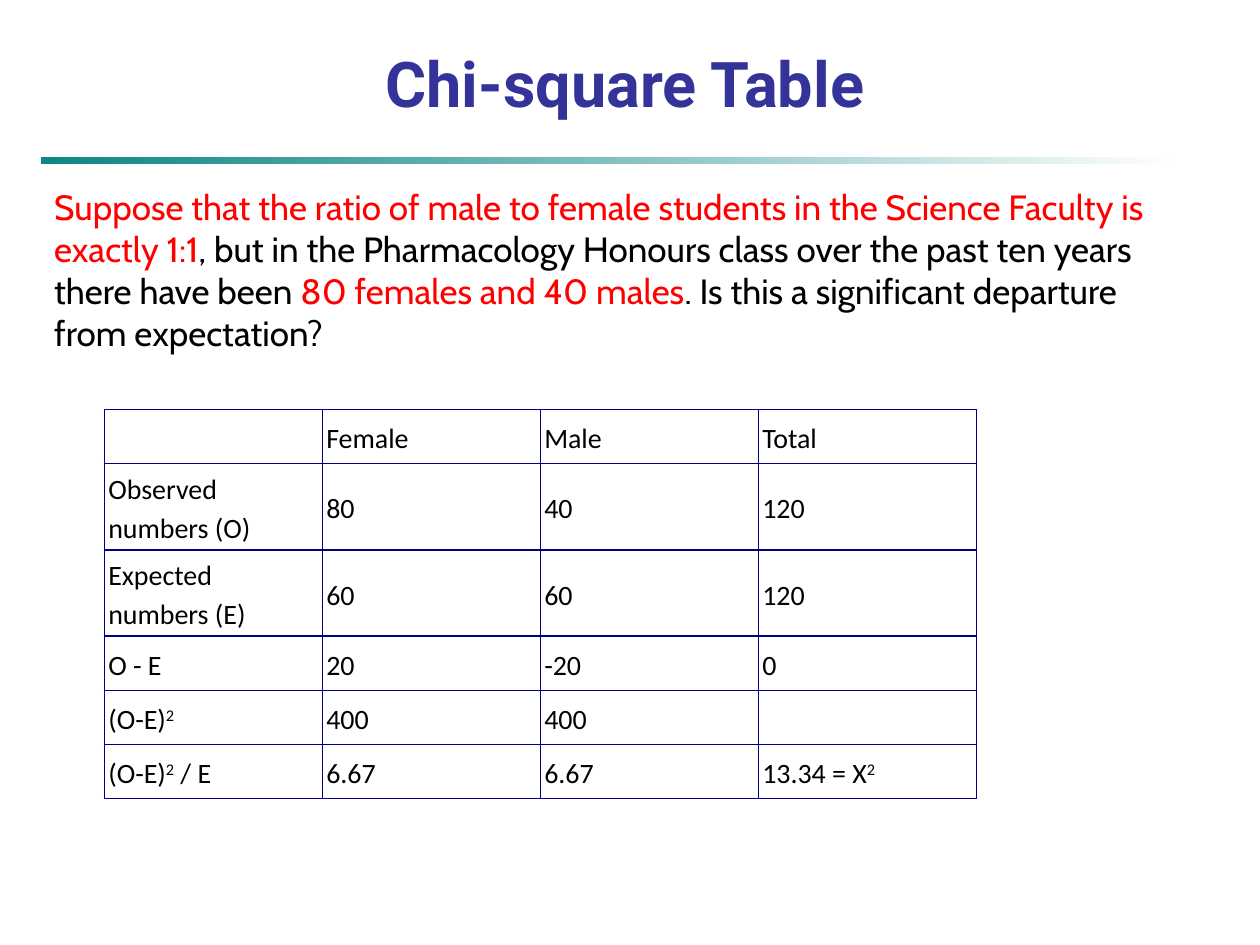
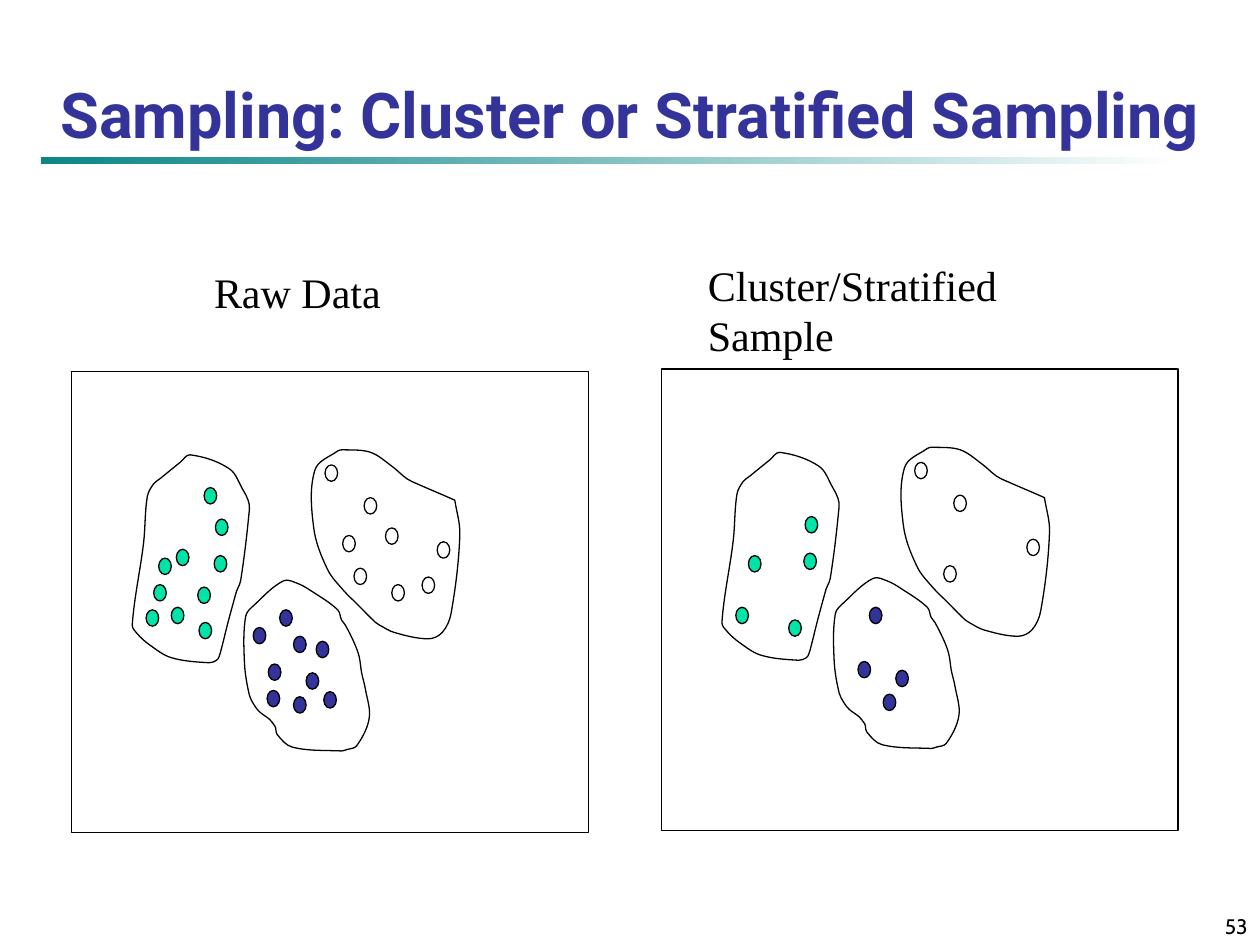
"""Build two statistics slides: a chi-square table and a cluster sampling diagram."""
from math import hypot

from lxml.etree import SubElement
from pptx import Presentation
from pptx.dml.color import RGBColor
from pptx.enum.shapes import MSO_SHAPE
from pptx.enum.text import MSO_ANCHOR as ANCHOR, MSO_AUTO_SIZE as AUTO, PP_ALIGN as ALIGN
from pptx.oxml.ns import qn
from pptx.util import Inches, Pt

BLACK, WHITE, RED, NAVY = "000000", "FFFFFF", "FF0000", "000080"
INDIGO, TEAL, MINT = "333399", "008080", "00E4A8"

QUESTION = [
    ("Suppose that the ratio of male to female students in the Science Faculty is exactly 1:1", RED),
    (", but in the Pharmacology Honours class over the past ten years there have been ", BLACK),
    ("80 females and 40 males", RED),
    (". Is this a significant departure from expectation? ", BLACK),
]

CHI_ROWS = [
    ("", "Female", "Male", "Total"),
    ("Observed numbers (O)", "80", "40", "120"),
    ("Expected numbers (E)", "60", "60", "120"),
    ("O - E", "20", "-20", "0"),
    ("(O-E)^2", "400", "400", ""),
    ("(O-E)^2^ / E", "6.67", "6.67", "13.34 = X^2"),
]
ROW_HEIGHTS = [0.43, 0.68, 0.68, 0.43, 0.43, 0.43]
COL_WIDTH = 1.73

CLUSTERS = [
    {
        "fill": WHITE,
        "sampled": [(2.89, 3.95), (2.81, 4.51), (3.47, 4.3), (2.58, 3.69)],
        "others": [(3.06, 4.19), (2.72, 4.25), (3.35, 4.58), (3.11, 4.64)],
        "outline": [
            (3.61, 3.97), (3.65, 4.24), (3.58, 4.87), (3.51, 5.02), (3.4, 5.07),
            (3.13, 5.02), (3.01, 4.96), (2.98, 4.94), (2.83, 4.79), (2.73, 4.69), (2.6, 4.52),
            (2.49, 4.19), (2.5, 3.73), (2.68, 3.58), (2.72, 3.57), (2.94, 3.59), (3.11, 3.7),
            (3.23, 3.8), (3.31, 3.84)],
    },
    {
        "fill": INDIGO,
        "sampled": [(2.33, 5.53), (2.43, 5.34), (2.13, 5.27), (2.22, 4.84)],
        "others": [(2.01, 4.98), (2.51, 5.09), (2.12, 5.48), (2.33, 5.05), (2.57, 5.49)],
        "outline": [
            (2.18, 5.76), (2.14, 5.71), (2.06, 5.65), (2.02, 5.6), (1.98, 5.52), (1.94, 5.26),
            (1.95, 4.89), (2.02, 4.8), (2.25, 4.61), (2.36, 4.63), (2.47, 4.69), (2.68, 4.84),
            (2.71, 4.92), (2.74, 4.96), (2.81, 5.1), (2.85, 5.21), (2.87, 5.34), (2.9, 5.47),
            (2.93, 5.7), (2.83, 5.92), (2.75, 5.95), (2.71, 5.96), (2.32, 5.93), (2.2, 5.83)],
    },
    {
        "fill": MINT,
        "sampled": [(1.16, 4.84), (1.26, 4.43), (1.58, 4.94), (1.7, 4.41), (1.71, 4.12)],
        "others": [(1.36, 4.82), (1.22, 4.64), (1.57, 4.66), (1.4, 4.36), (1.62, 3.87)],
        "outline": [
            (1.87, 4.72), (1.81, 4.94), (1.76, 5.14), (1.74, 5.21), (1.72, 5.24), (1.66, 5.26),
            (1.36, 5.22), (1.19, 5.12), (1.09, 5.03), (1.05, 4.96), (1.14, 4.31), (1.17, 3.94),
            (1.22, 3.84), (1.27, 3.8), (1.38, 3.71), (1.43, 3.67), (1.51, 3.61), (1.82, 3.72),
            (1.93, 3.89), (1.97, 3.97), (1.98, 4.04), (1.91, 4.61)],
    },
]
FRAME, DOT = (0.57, 2.95, 4.1, 3.66), (0.1, 0.13)
PANELS = [
    {"label": "Raw Data", "at": (1.6, 2.07, 1.61, 0.5), "inset": 0.1,
     "shift": (0, 0), "all": True},
    {"label": "Cluster/Stratified Sample", "at": (5.52, 2.01, 3.57, 0.5), "inset": 0.7,
     "shift": (4.68, -0.02), "all": False},
]


def rgb(value):
    return RGBColor.from_string(value)


def place(sp, *box):
    sp.left, sp.top, sp.width, sp.height = map(Inches, box)


def style(r, size, font, color, bold=False):
    r.font.size, r.font.name, r.font.bold = Pt(size), font, bold
    r.font.color.rgb = rgb(color)


def set_title(s, text, *box):
    sp = s.shapes.title
    place(sp, *box)
    tf = sp.text_frame
    tf.text = text
    tf.auto_size, tf.vertical_anchor = AUTO.NONE, ANCHOR.BOTTOM
    p = tf.paragraphs[0]
    p.alignment = ALIGN.CENTER
    style(p.runs[0], 36, "Roboto", INDIGO, True)


def add_text(s, text, box, size, font, align=ALIGN.LEFT, anchor=ANCHOR.TOP, inset=0.1):
    tf = s.shapes.add_textbox(*map(Inches, box)).text_frame
    tf.text, tf.word_wrap, tf.vertical_anchor = text, True, anchor
    tf.margin_right = Inches(inset)
    p = tf.paragraphs[0]
    p.alignment = align
    style(p.runs[0], size, font, BLACK)


def add_master_band(prs, s):
    sp = s.shapes.add_shape(MSO_SHAPE.RECTANGLE, *map(Inches, (0.33, 1.25, 9, 0.05)))
    sp.shadow.inherit = False
    sp.line.fill.background()
    sp.fill.gradient()
    sp.fill.gradient_angle = 0
    for stop, color in zip(sp.fill.gradient_stops, (TEAL, WHITE)):
        stop.color.rgb = rgb(color)
    SubElement(sp.element.find(".//" + qn("a:srgbClr")), qn("a:alpha"), val="95000")
    sp.element.nvSpPr.cNvPr.set("id", "50")
    prs.slide_master.shapes.element.append(sp.element)


def add_borders(cell, color, width):
    tc_pr = cell._tc.get_or_add_tcPr()
    for i, side in enumerate("LRTB"):
        ln = SubElement(tc_pr, qn("a:ln" + side), w=str(Pt(width)))
        SubElement(SubElement(ln, qn("a:solidFill")), qn("a:srgbClr"), val=color)
        tc_pr.insert(i, ln)


def fill_cell(cell, text):
    cell.margin_left = cell.margin_top = cell.margin_bottom = Inches(0.03)
    cell.margin_right = Inches(0.05)
    cell.vertical_anchor = ANCHOR.MIDDLE
    cell.fill.background()
    add_borders(cell, NAVY, 1)
    if not text:
        return
    p = cell.text_frame.paragraphs[0]
    p.line_spacing, p.space_after = 1.15, Pt(10)
    for i, part in enumerate(text.split("^")):
        r = p.add_run()
        r.text = part
        style(r, 16, "Calibri", BLACK)
        if i % 2:
            r._r.get_or_add_rPr().set("baseline", "30000")


def add_chi_table(s):
    box = (0.83, 3.25, COL_WIDTH * len(CHI_ROWS[0]), sum(ROW_HEIGHTS))
    table = s.shapes.add_table(len(CHI_ROWS), len(CHI_ROWS[0]), *map(Inches, box)).table
    table.first_row = table.horz_banding = False
    for col in table.columns:
        col.width = Inches(COL_WIDTH)
    for row, height, texts in zip(table.rows, ROW_HEIGHTS, CHI_ROWS):
        row.height = Inches(height)
        for cell, text in zip(row.cells, texts):
            fill_cell(cell, text)


def add_question(s):
    sp = s.placeholders[1]
    place(sp, 0.33, 1.42, 9.17, 5.67)
    sp.text_frame.auto_size = AUTO.NONE
    p = sp.text_frame.paragraphs[0]
    p.space_before = Pt(0)
    p_pr = p._p.get_or_add_pPr()
    p_pr.set("marL", "0")
    p_pr.set("indent", "0")
    SubElement(p_pr, qn("a:buNone"))
    for text, color in QUESTION:
        r = p.add_run()
        r.text = text
        style(r, 20, "Cabin", color)


def bezier_sides(points):
    """Give each side of a closed outline two handles, a third of its length, and its end."""
    n = len(points)

    def heading(i):
        (ax, ay), (bx, by) = points[i - 1], points[(i + 1) % n]
        if i == 0:
            ax, ay = points[0]
        size = hypot(bx - ax, by - ay)
        return (bx - ax) / size, (by - ay) / size

    for i, (ax, ay) in enumerate(points):
        j = (i + 1) % n
        bx, by = points[j]
        (ox, oy), (ix, iy) = heading(i), heading(j)
        if j == 0:
            ix, iy = ox, oy
        reach = hypot(bx - ax, by - ay) / 3
        yield ((ax + reach * ox, ay + reach * oy), (bx - reach * ix, by - reach * iy), (bx, by))


def finish(sp, fill=None):
    sp.shadow.inherit = False
    sp.line.color.rgb, sp.line.width = rgb(BLACK), Pt(0.75)
    if fill:
        sp.fill.solid()
        sp.fill.fore_color.rgb = rgb(fill)
    else:
        sp.fill.background()


def add_outline(shapes, points):
    points = [(Inches(x), Inches(y)) for x, y in points]
    builder = shapes.build_freeform(*points[0])
    builder.add_line_segments(points[1:], close=True)
    sp = builder.convert_to_shape()
    lines = list(sp.element.iter(qn("a:lnTo")))
    outline = lines[0].getparent()
    at = outline.index(lines[0])
    for line in lines:
        outline.remove(line)
    for i, side in enumerate(bezier_sides(points)):
        curve = SubElement(outline, qn("a:cubicBezTo"))
        for x, y in side:
            SubElement(curve, qn("a:pt"), x=str(round(x - sp.left)), y=str(round(y - sp.top)))
        outline.insert(at + i, curve)
    finish(sp)


def add_panel(s, panel):
    dx, dy = panel["shift"]
    shapes = s.shapes.add_group_shape().shapes

    def add(kind, x, y, w, h, fill=None):
        finish(shapes.add_shape(kind, *map(Inches, (x + dx, y + dy, w, h))), fill)

    add(MSO_SHAPE.RECTANGLE, *FRAME)
    for cluster in CLUSTERS:
        dots = cluster["sampled"] + (cluster["others"] if panel["all"] else [])
        for x, y in dots:
            add(MSO_SHAPE.FLOWCHART_CONNECTOR, x, y, *DOT, cluster["fill"])
        add_outline(shapes, [(x + dx, y + dy) for x, y in cluster["outline"]])
    add_text(s, panel["label"], panel["at"], 24, "Times New Roman", inset=panel["inset"])


def main():
    prs = Presentation()
    prs.slide_width, prs.slide_height = Inches(10), Inches(7.5)

    s = prs.slides.add_slide(prs.slide_layouts[1])
    add_master_band(prs, s)
    set_title(s, "Chi-square Table", 0.17, 0.33, 9.58, 0.67)
    add_question(s)
    add_chi_table(s)

    s = prs.slides.add_slide(prs.slide_layouts[5])
    set_title(s, "Sampling: Cluster or Stratified Sampling", 0.25, 0.33, 9.5, 0.92)
    for panel in PANELS:
        add_panel(s, panel)
    add_text(s, "53", (7.92, 7.08, 2.08, 0.42), 12, "Cabin", ALIGN.RIGHT, ANCHOR.BOTTOM)

    prs.save("out.pptx")


if __name__ == "__main__":
    main()
